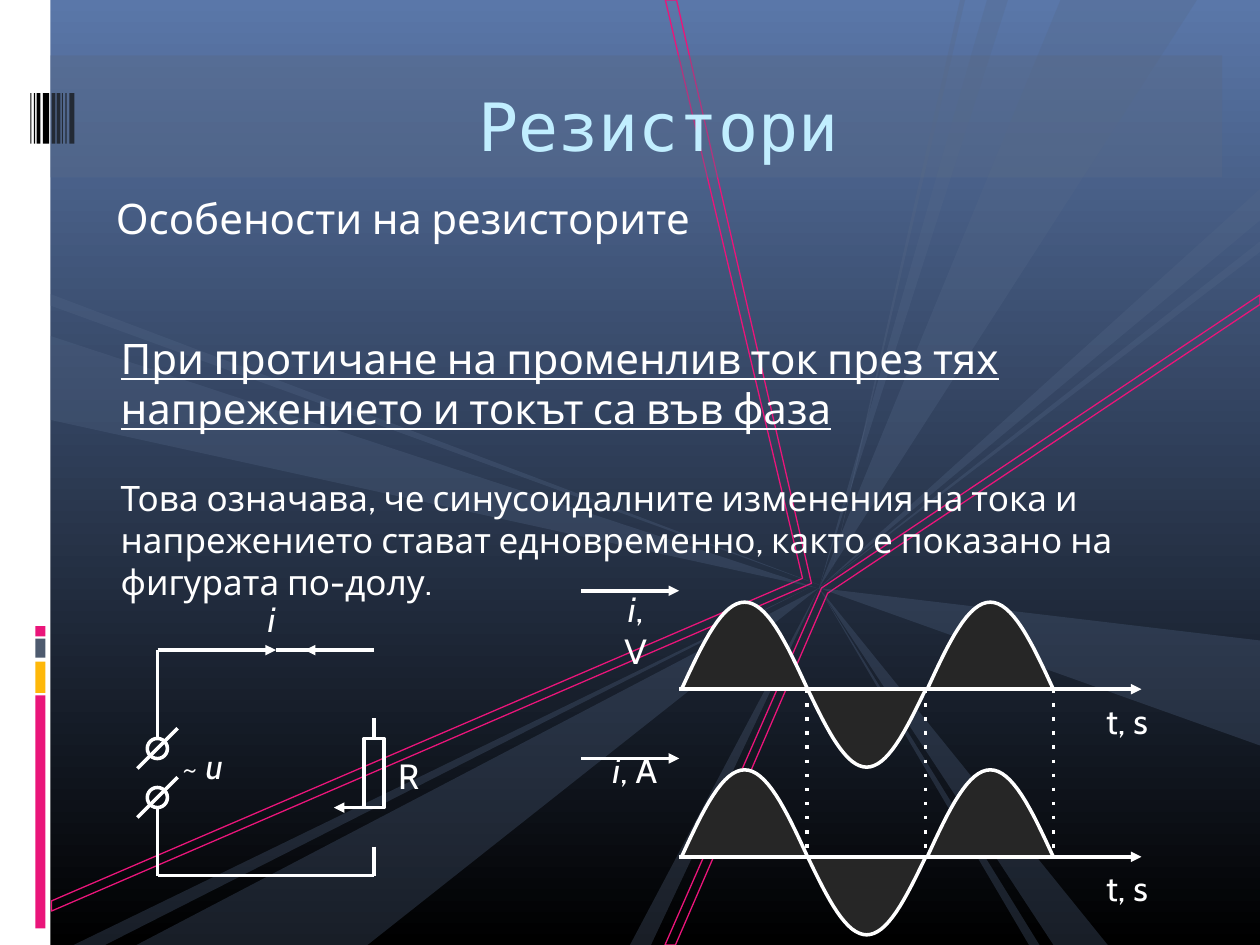
from math import pi, sin

from lxml import etree
from pptx import Presentation
from pptx.dml.color import RGBColor
from pptx.enum.shapes import MSO_CONNECTOR, MSO_SHAPE
from pptx.enum.text import MSO_ANCHOR, PP_ALIGN
from pptx.oxml.ns import qn
from pptx.util import Pt

WHITE = RGBColor(0xFF, 0xFF, 0xFF)
BLACK = RGBColor(0x00, 0x00, 0x00)
SKY = RGBColor(0x5A, 0x77, 0xA9)
PINK = RGBColor(0xEA, 0x15, 0x7A)
AMBER = RGBColor(0xFE, 0xB8, 0x0A)
SLATE = RGBColor(0x4E, 0x5B, 0x6F)
RAY = RGBColor(0x55, 0x69, 0x89)
HAZE = RGBColor(0x58, 0x69, 0x86)
ICE = RGBColor(0xC1, 0xEE, 0xFF)
CHARCOAL = RGBColor(0x26, 0x26, 0x26)


def paint(shape, fill=None, line=None, width=2, opacity=None):
    shape.shadow.inherit = False
    if fill is None:
        shape.fill.background()
    else:
        shape.fill.solid()
        shape.fill.fore_color.rgb = fill
    if opacity:
        colour = shape.element.spPr.find(qn("a:solidFill"))[0]
        etree.SubElement(colour, qn("a:alpha"), val=str(opacity * 1000))
    if line is None:
        shape.line.fill.background()
    else:
        shape.line.color.rgb = line
        shape.line.width = Pt(width)


def trace(points, close=True):
    corners = [(Pt(x), Pt(y)) for x, y in points]
    builder = slide.shapes.build_freeform(*corners[0], scale=1.0)
    builder.add_line_segments(corners[1:], close=close)
    return builder.convert_to_shape()


prs = Presentation()
prs.slide_width, prs.slide_height = Pt(720), Pt(540)
slide = prs.slides.add_slide(prs.slide_layouts[5])
shapes = slide.shapes

backdrop = slide.background.fill
backdrop.gradient()
backdrop.gradient_angle = 270
for stop, colour, position in zip(backdrop.gradient_stops, (SKY, BLACK), (0, 1)):
    stop.color.rgb = colour
    stop.position = position

stripes = [
    (0, 0, 28.8, 540, WHITE),
    (20.2, 397.4, 5.8, 133.2, PINK),
    (20.2, 378, 5.8, 18, AMBER),
    (20.2, 365, 5.8, 10.8, SLATE),
    (20.2, 357.8, 5.8, 5.8, PINK),
]
bars = [(17.3, 0.7), (19.4, 0.7), (20.9, 2.2), (24.5, 3.6), (29.5, 2.2),
        (32.4, 2.2), (35.3, 0.7), (37.4, 0.7), (39.6, 2.9)]
stripes += [(left, 53.3, width, 28.8, BLACK) for left, width in bars]
for *frame, colour in stripes:
    paint(shapes.add_shape(MSO_SHAPE.RECTANGLE, *map(Pt, frame)), colour)

beams = [
    [(380, 540), (469.5, 336), (720, 168.5), (720, 174), (473, 339), (386, 540)],
    [(29.5, 514.8), (29.5, 520.6), (463.7, 333.4), (386.6, 0), (380.2, 0), (458.6, 330.5)],
]
for beam in beams:
    paint(trace(beam), line=PINK, width=0.75)

hub = (468, 336)
rays = [
    ((551.5, 0), (475.2, 327.6), (548.6, 0), HAZE),
    ((606, 0), (684, 0), hub, RAY),
    (hub, (720, 366), (720, 426), RAY),
    ((576, 0), hub, (564, 0), RAY),
    ((602, 540), (633, 540), hub, RAY),
    ((594, 540), hub, (588, 540), RAY),
    ((720, 108), (720, 126), hub, RAY),
    ((720, 138), hub, (720, 144), RAY),
    ((78, 540), hub, (210, 540), RAY),
    ((42, 540), (462, 336), (60, 540), RAY),
    ((28.8, 192), (466.6, 336), (28.8, 240), RAY),
    ((28.8, 168), (473, 336), (28.8, 174.6), RAY),
    ((360, 540), (372, 540), hub, HAZE),
]
for *corners, colour in rays:
    paint(trace(corners), colour, opacity=29)
title_band = shapes.add_shape(MSO_SHAPE.RECTANGLE, Pt(28.8), Pt(31.7), Pt(669.6), Pt(69.8))
paint(title_band, HAZE, opacity=40)

left, right, top, bottom = 90, 213.8, 371.5, 500.4
resistor_top, resistor_bottom = 422, 461.5
strokes = [
    (left, resistor_bottom, left, bottom, None),
    (left, top, left, resistor_top, None),
    (left, top, 157.7, top, "arrow"),
    (157.7, top, right, top, None),
    (right, top, 174.2, top, "arrow"),
    (right, 410.4, right, resistor_top, None),
    (right, resistor_bottom, 190.8, resistor_bottom, "arrow"),
    (right, 483.8, right, bottom, None),
    (left, bottom, right, bottom, None),
]
resistor = shapes.add_shape(MSO_SHAPE.RECTANGLE, Pt(208.1), Pt(resistor_top), Pt(11.5), Pt(39.5))
paint(resistor, line=WHITE)
for terminal_top in (422, 450):
    terminal = shapes.add_shape(MSO_SHAPE.OVAL, Pt(84.2), Pt(terminal_top), Pt(11.5), Pt(11.5))
    paint(terminal, line=WHITE)
    strokes.append((78.5, terminal_top + 17.2, 101.5, terminal_top - 5.8, None))

voltage_axis, current_axis = 393.8, 489.6
half_waves = [(389.5, 72, 49.7), (461.5, 67.5, -44.6), (529.9, 72, 49.7)]
steps = 32
for axis in (voltage_axis, current_axis):
    strokes += [(331.9, axis - 56.2, 388.1, axis - 56.2, "arrow"),
                (388.1, axis, 652.3, axis, "arrow")]
    for start, width, height in half_waves:
        curve = [(start + width * i / steps, axis - height * sin(pi * i / steps))
                 for i in range(steps + 1)]
        paint(trace(curve, close=False), CHARCOAL, WHITE)
strokes += [(x, voltage_axis, x, current_axis, "dot") for x in (461.2, 529, 601.9)]

for *ends, style in strokes:
    stroke = shapes.add_connector(MSO_CONNECTOR.STRAIGHT, *map(Pt, ends))
    stroke.line.color.rgb = WHITE
    stroke.line.width = Pt(2)
    properties = stroke.element.spPr
    if style == "arrow":
        etree.SubElement(properties.get_or_add_ln(), qn("a:tailEnd"), type="triangle")
    elif style == "dot":
        etree.SubElement(properties.get_or_add_ln(), qn("a:prstDash"), val="dot")
    etree.SubElement(properties, qn("a:effectLst"))

heading = shapes.title
heading.element.getparent().append(heading.element)
heading.left, heading.top, heading.width, heading.height = map(Pt, (55.4, 40.3, 642.2, 61.2))

HEADING = {"name": "DejaVu Sans Mono", "size": Pt(38), "bold": False}
LEAD = {"name": "Cabin", "size": Pt(24)}
RULE = {**LEAD, "underline": True}
PLAIN = {"name": "Cabin", "size": Pt(20)}
SYMBOL = {**PLAIN, "italic": True}
INSETS = (7.2, 3.6, 7.2, 3.6)
CENTER, LEFT = PP_ALIGN.CENTER, PP_ALIGN.LEFT

texts = [
    (None, (7.2, 5, 7.2, 3.6), CENTER, [("Резистори", HEADING)]),
    ((55.4, 106.6, 540.7, 51.1), (10.8, 3.6, 7.2, 0), LEFT,
     [("Особености на резисторите", LEAD)]),
    ((61.9, 186.5, 630, 64.8), INSETS, LEFT,
     [("При протичане на променлив ток през тях напрежението и токът са във фаза", RULE)]),
    ((61.9, 268.6, 641.5, 55.4), INSETS, LEFT,
     [("Това означава, че синусоидалните изменения на тока и напрежението стават "
       "едновременно, както е показано на фигурата по-долу.", PLAIN)]),
    ((135.4, 337.7, 39.6, 31.7), INSETS, CENTER, [("i", SYMBOL)]),
    ((213.8, 427.7, 39.6, 31.7), INSETS, CENTER, [("R", PLAIN)]),
    ((95.8, 422, 39.6, 31.7), INSETS, CENTER, [("~ ", PLAIN), ("u", SYMBOL)]),
    ((343.4, 331.9, 39.6, 55.4), INSETS, CENTER, [("i", SYMBOL), (", V", PLAIN)]),
    ((337.7, 424.1, 50.4, 31.7), INSETS, CENTER, [("i", SYMBOL), (", A", PLAIN)]),
    ((624.2, 396, 39.6, 31.7), INSETS, CENTER, [("t, s", PLAIN)]),
    ((624.2, 491.8, 39.6, 31.7), INSETS, CENTER, [("t, s", PLAIN)]),
]
for frame, insets, align, runs in texts:
    holder = shapes.add_textbox(*map(Pt, frame)) if frame else heading
    body = holder.text_frame
    body.word_wrap = True
    body.vertical_anchor = MSO_ANCHOR.TOP if frame else MSO_ANCHOR.MIDDLE
    for side, inset in zip(("left", "top", "right", "bottom"), insets):
        setattr(body, f"margin_{side}", Pt(inset))
    paragraph = body.paragraphs[0]
    paragraph.alignment = align
    for wording, formats in runs:
        run = paragraph.add_run()
        run.text = wording
        run.font.color.rgb = WHITE if frame else ICE
        for attribute, value in formats.items():
            setattr(run.font, attribute, value)

prs.save("out.pptx")
